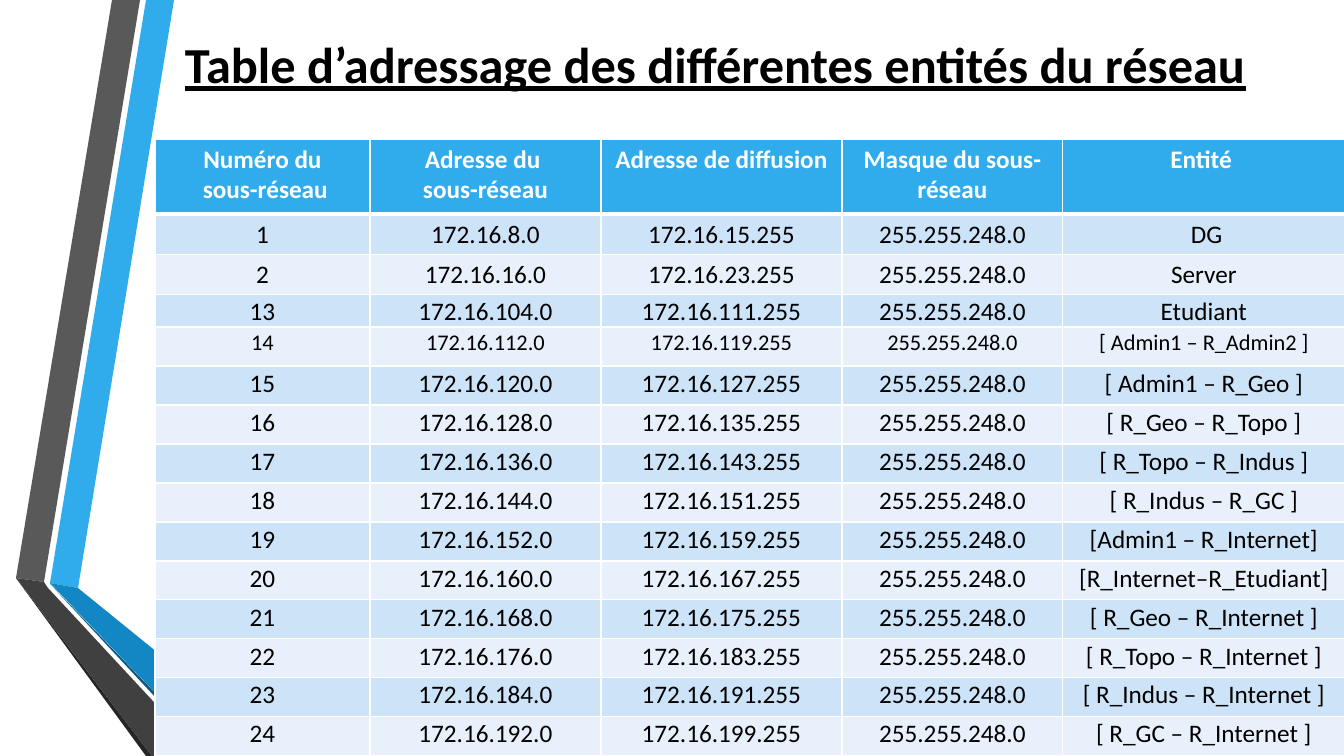
import pptx
import pptx.util
import pptx.dml.color
import pptx.enum.text
import pptx.oxml
import pptx.oxml.ns

COLORS = {
    "white": "FFFFFF", "black": "000000",
    "blue": "30ACEC", "blue_fold": "1287C3", "blue_edge": "0C5A82",
    "gray": "595959", "gray_fold": "404040", "gray_edge": "262626",
    "band_dark": "CDE3F8", "band_light": "E8F1FB",
}
SCALE = 914400 / 100.8  # EMU per pixel
CENTER = pptx.enum.text.PP_ALIGN.CENTER
MIDDLE = pptx.enum.text.MSO_ANCHOR.MIDDLE


def emu(pixels):
    return pptx.util.Emu(round(pixels * SCALE))


def rgb(name):
    return pptx.dml.color.RGBColor.from_string(COLORS[name])


class SlideBuilder:
    def __init__(self, presentation):
        self.slide = presentation.slides.add_slide(presentation.slide_layouts[6])
        self.font = {"name": "Calibri", "size": pptx.util.Pt(18), "bold": False}

    def set_text(self, frame, text, color, line_spacing=None, **changes):
        frame.text = text
        for paragraph in frame.paragraphs:
            paragraph.alignment = CENTER
            paragraph.line_spacing = line_spacing
            for run in paragraph.runs:
                for name, value in {**self.font, **changes}.items():
                    setattr(run.font, name, value)
                run.font.color.rgb = rgb(color)

    def polygon(self, color, points):
        builder = self.slide.shapes.build_freeform(*points[0], scale=SCALE)
        builder.add_line_segments(points[1:], close=True)
        shape = builder.convert_to_shape()
        shape.shadow.inherit = False
        shape.fill.solid()
        shape.fill.fore_color.rgb = rgb(color)
        shape.line.fill.background()

    def title(self, box, text):
        frame = self.slide.shapes.add_textbox(*map(emu, box)).text_frame
        frame.word_wrap = True
        frame.vertical_anchor = MIDDLE
        self.set_text(frame, text, "black", size=pptx.util.Pt(36), bold=True, underline=True)

    def borders(self, cell, top, bottom):
        properties = cell._tc.get_or_add_tcPr()
        widths = {"lnL": 1, "lnR": 1, "lnT": top, "lnB": bottom}
        for index, (side, width) in enumerate(widths.items()):
            properties.insert(index, pptx.oxml.parse_xml(
                f'<a:{side} {pptx.oxml.ns.nsdecls("a")} w="{pptx.util.Pt(width)}">'
                f'<a:solidFill><a:srgbClr val="{COLORS["white"]}"/></a:solidFill></a:{side}>'))

    def cell(self, cell, text, row, number):
        if row == 0:
            fill, color, style = "blue", "white", {"bold": True}
        else:
            fill, color, style = ("band_dark" if row % 2 else "band_light"), "black", {}
        if row >= 3:  # compact rows
            style["line_spacing"] = 1.07
            margins = {"margin_left": 7, "margin_right": 7, "margin_top": 0, "margin_bottom": 0}
            for name, value in margins.items():
                setattr(cell, name, emu(value))
        if number == 14:
            style["size"] = pptx.util.Pt(16)
        self.set_text(cell.text_frame, text, color, **style)
        cell.fill.solid()
        cell.fill.fore_color.rgb = rgb(fill)
        self.borders(cell, 3 if row == 1 else 1, 3 if row == 0 else 1)

    def table(self, left, top, widths, heights, rows):
        box = map(emu, (left, top, sum(widths), sum(heights)))
        table = self.slide.shapes.add_table(len(heights), len(widths), *box).table
        for column, width in zip(table.columns, widths):
            column.width = emu(width)
        for row, height in zip(table.rows, heights):
            row.height = emu(height)
        for index, (number, texts) in enumerate(rows):
            for column, text in enumerate(texts):
                self.cell(table.cell(index, column), text, index, number)


presentation = pptx.Presentation()
presentation.slide_width = emu(1344)
presentation.slide_height = emu(756)
page = SlideBuilder(presentation)

# Folded ribbons on the left
page.polygon("blue", [(50, 583), (78, 588), (174, 0), (146, 0)])
page.polygon("gray", [(140, 0), (112, 0), (16, 578), (44, 582)])
page.polygon("gray_edge", [(16, 578), (146, 756), (152, 756)])
page.polygon("blue_edge", [(50, 584), (210, 756), (216, 756)])
page.polygon("blue_fold", [(50, 583), (216, 756), (285, 756), (78, 588)])
page.polygon("gray_fold", [(204, 756), (48, 588), (44, 582), (16, 578), (152, 756)])

# Title
page.title((163, 0, 1105, 126), "Table d’adressage des différentes entités du réseau")

# Address table: each subnet spans 8 values of the third byte
HEADER = ["Numéro du\n sous-réseau", "Adresse du \nsous-réseau",
          "Adresse de diffusion", "Masque du sous-réseau", "Entité "]
ENTITIES = {
    1: " DG", 2: "Server", 13: "Etudiant",
    14: "[ Admin1 – R_Admin2 ]", 15: "[ Admin1 – R_Geo ]",
    16: "[ R_Geo – R_Topo ]", 17: "[ R_Topo – R_Indus ]",
    18: "[ R_Indus – R_GC ]", 19: "[Admin1 – R_Internet]",
    20: "[R_Internet–R_Etudiant]", 21: "[ R_Geo – R_Internet ]",
    22: "[ R_Topo – R_Internet ]", 23: "[ R_Indus – R_Internet ]",
    24: "[ R_GC – R_Internet ]",
}
rows = [(None, HEADER)] + [
    (number, [str(number), f"172.16.{8 * number}.0", f"172.16.{8 * number + 7}.255",
              "255.255.248.0", entity])
    for number, entity in ENTITIES.items()]
page.table(155, 139, [215, 231, 241, 221, 282], [75, 40, 40, 32] + [39] * 11, rows)

presentation.save("out.pptx")
